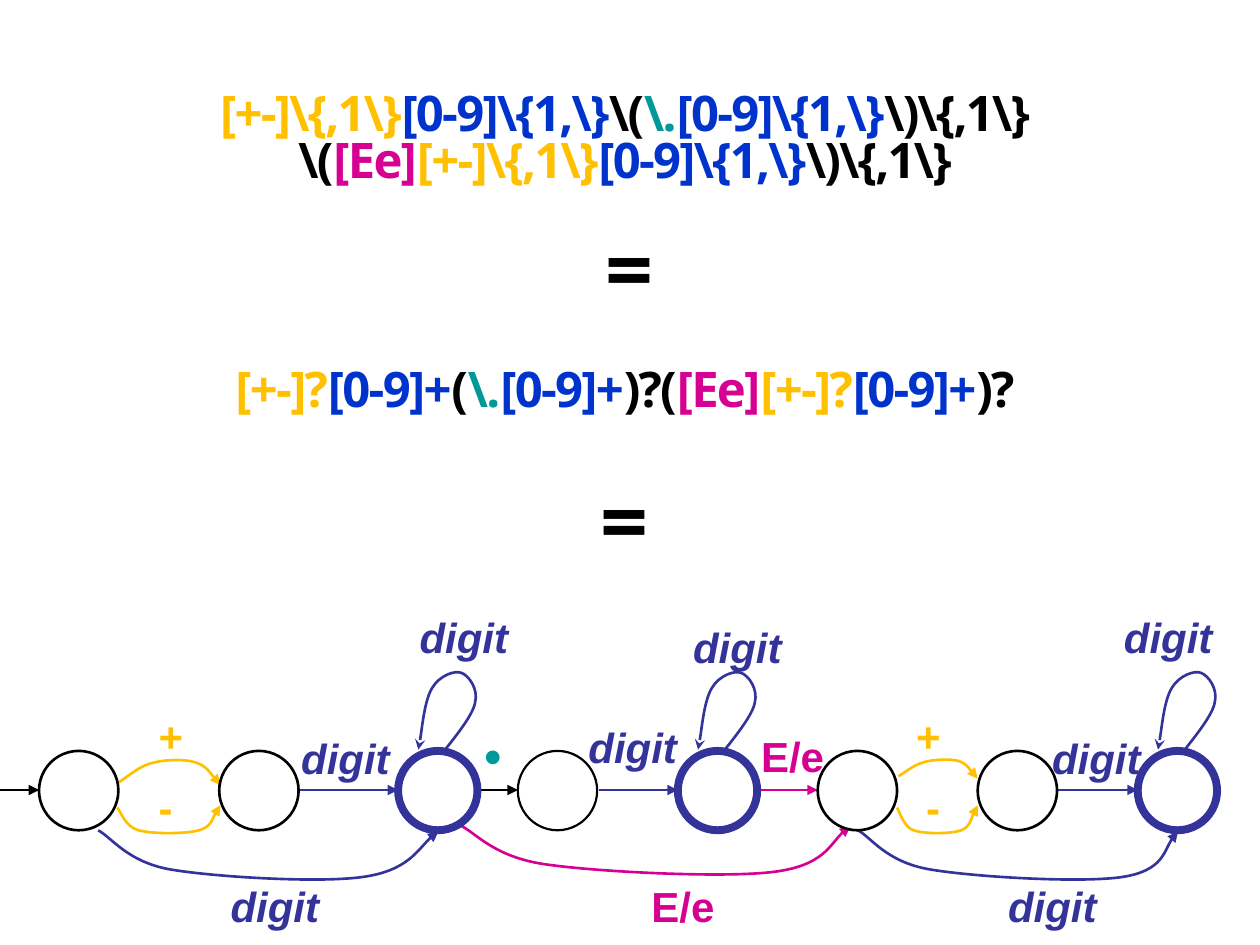
from lxml import etree
from pptx import Presentation
from pptx.dml.color import RGBColor
from pptx.enum.shapes import MSO_CONNECTOR, MSO_SHAPE
from pptx.enum.text import PP_ALIGN
from pptx.oxml.ns import qn
from pptx.util import Pt

PX = 9144  # 100 px to the inch
STRAIGHT = MSO_CONNECTOR.STRAIGHT
CIRCLE = MSO_SHAPE.FLOWCHART_CONNECTOR
CENTER = PP_ALIGN.CENTER

BLACK = RGBColor(0x00, 0x00, 0x00)
WHITE = RGBColor(0xFF, 0xFF, 0xFF)
AMBER = RGBColor(0xFF, 0xC0, 0x00)
BLUE = RGBColor(0x00, 0x33, 0xCC)
TEAL = RGBColor(0x00, 0x99, 0x99)
MAGENTA = RGBColor(0xD6, 0x00, 0x93)
INDIGO = RGBColor(0x33, 0x33, 0x99)

BASIC_REGEX = [
    (1.4, [(r"[+-]\{,1\}", AMBER), (r"[0-9]\{1,\}", BLUE), (r"\(", BLACK),
           (r"\.", TEAL), (r"[0-9]\{1,\}", BLUE), (r"\)\{,1\}", BLACK)]),
    (0.79, [(r"\(", BLACK), ("[Ee]", MAGENTA), (r"[+-]\{,1\}", AMBER),
            (r"[0-9]\{1,\}", BLUE), (r"\)\{,1\}", BLACK)]),
]
EXTENDED_REGEX = [
    (0.95, [("[+-]?", AMBER), ("[0-9]+", BLUE), ("(", BLACK), (r"\.", TEAL),
            ("[0-9]+", BLUE), (")?(", BLACK), ("[Ee]", MAGENTA),
            ("[+-]?", AMBER), ("[0-9]+", BLUE), (")?", BLACK)]),
]
EQUALS = [(0.79, [("=", BLACK)])]

# Automaton geometry, in px from the left edge and the top of its box
STATE = 63
STATE_TOP = 111
AXIS = 142
STATES = [(31, 1.5, BLACK), (174, 1.5, BLACK), (316, 4.5, INDIGO), (411, 1.25, BLACK),
          (538, 4.5, INDIGO), (649, 1.5, BLACK), (776, 1.5, BLACK), (903, 4.5, INDIGO)]
STEPS = [(-17, 31, 0.75, BLACK), (237, 316, 1.5, INDIGO), (380, 411, 1.5, BLACK),
         (475, 538, 1.5, INDIGO), (602, 649, 1.5, MAGENTA), (840, 903, 1.5, INDIGO)]
LOOP = [(0, 63), (2, 55), (5, 24), (11, 14), (17, 4), (29, 0), (34, 2),
        (40, 4), (48, 15), (45, 26), (43, 37), (25, 58), (19, 66)]
PLUS_ARC = [(0, 19), (4, 17), (15, 7), (25, 4), (35, 1), (51, 0), (61, 3),
            (70, 6), (77, 17), (81, 21)]
MINUS_ARC = [(0, 2), (3, 5), (6, 17), (17, 20), (28, 23), (54, 23), (65, 20),
             (75, 17), (78, 4), (82, 0)]
# left, top, colour, x of each curve point; all skips share their heights
SKIP_HEIGHTS = [0, 5, 25, 31, 37, 42, 37, 32, 8, 1]
SKIPS = [(78, 174, INDIGO, [0, 10, 23, 57, 92, 175, 210, 246, 258, 270]),
         (365, 170, MAGENTA, [0, 12, 26, 68, 109, 209, 249, 289, 297, 310]),
         (681, 174, INDIGO, [0, 10, 22, 57, 92, 177, 210, 242, 245, 254])]
LABELS = [("digit", INDIGO, [(239, 96), (333, 0), (183, 214), (892, 0), (550, 8),
                             (800, 214), (835, 96), (467, 88)]),
          ("E/e", MAGENTA, [(517, 214), (604, 95)]),
          ("+", AMBER, [(126, 79), (727, 79)]),
          ("-", AMBER, [(126, 135), (735, 135)])]


def add_text_box(slide, box):
    frame = slide.shapes.add_textbox(*(v * PX for v in box)).text_frame
    frame.word_wrap = True
    return frame


def style_font(run, name, size, color, italic=False):
    font = run.font
    font.name, font.size, font.bold, font.italic = name, Pt(size), True, italic
    font.color.rgb = color


def add_expression(slide, box, lines, size):
    """Centred lines of text, each made of coloured spans."""
    frame = add_text_box(slide, box)
    for i, (spacing, spans) in enumerate(lines):
        paragraph = frame.add_paragraph() if i else frame.paragraphs[0]
        paragraph.alignment = CENTER
        paragraph.line_spacing = spacing
        for text, color in spans:
            run = paragraph.add_run()
            run.text = text
            style_font(run, "Noto Sans", size, color)
            run.font._element.set("spc", "-100")


def style_arrow(arrow, width, color, end="tailEnd", tip="triangle"):
    arrow.line.width = Pt(width)
    arrow.line.color.rgb = color
    etree.SubElement(arrow.line._get_or_add_ln(), qn("a:" + end), type=tip)


def add_curve(slide, left, top, points, color, **arrowhead):
    """Open Bézier curve: a start, then two controls and an end per segment."""
    start, *rest = [(left + x, top + y) for x, y in points]
    builder = slide.shapes.build_freeform(*start, scale=PX)
    builder.add_line_segments(rest, close=False)
    curve = builder.convert_to_shape()
    outline = next(curve._element.iter(qn("a:path")))
    corners = outline.findall(qn("a:lnTo"))
    for i in range(0, len(corners), 3):
        segment = etree.SubElement(outline, qn("a:cubicBezTo"))
        for corner in corners[i:i + 3]:
            segment.append(corner[0])
            outline.remove(corner)
    curve.fill.background()
    curve.shadow.inherit = False
    style_arrow(curve, 1.5, color, **arrowhead)


def stretch(points, x_scale, y_scale):
    return [(round(x * x_scale), round(y * y_scale)) for x, y in points]


def add_automaton(slide, left, top):
    # Straight transitions
    for start, end, width, color in STEPS:
        y = (top + AXIS) * PX
        step = slide.shapes.add_connector(STRAIGHT, (left + start) * PX, y,
                                          (left + end) * PX, y)
        style_arrow(step, width, color)
        etree.SubElement(step._element.spPr, qn("a:effectLst"))

    # Sign branches; the second pair is narrower
    for x, y, arc, x_scale, y_scale in [(94, 117, PLUS_ARC, 1, 1),
                                        (93, 154, MINUS_ARC, 1, 1),
                                        (713, 117, PLUS_ARC, 0.78, 0.76),
                                        (712, 154, MINUS_ARC, 0.78, 1)]:
        add_curve(slide, left + x, top + y, stretch(arc, x_scale, y_scale), AMBER)

    # Transitions that skip states
    for x, y, color, xs in SKIPS:
        add_curve(slide, left + x, top + y, list(zip(xs, SKIP_HEIGHTS)), color)

    # States, with a loop on each accepting one
    for x, width, color in STATES:
        if color == INDIGO:
            add_curve(slide, left + x + 16, top + 47, LOOP, color,
                      end="headEnd", tip="stealth")
        state = slide.shapes.add_shape(CIRCLE, (left + x) * PX, (top + STATE_TOP) * PX,
                                       STATE * PX, STATE * PX)
        state.shadow.inherit = False
        state.fill.solid()
        state.fill.fore_color.rgb = WHITE
        state.line.width = Pt(width)
        state.line.color.rgb = color

    # Transition labels
    for text, color, places in LABELS:
        for x, y in places:
            frame = add_text_box(slide, (left + x, top + y, 79, 48))
            frame.margin_left = frame.margin_right = 0
            frame.margin_top = frame.margin_bottom = 0
            frame.text = text
            style_font(frame.paragraphs[0].runs[0], "Arial", 24, color, text == "digit")
    point = add_text_box(slide, (left + 373, top + 49, 127, 145))
    point.text = "."
    style_font(point.paragraphs[0].runs[0], "Times New Roman", 48, TEAL)


def main():
    prs = Presentation()
    prs.slide_width, prs.slide_height = 1000 * PX, 750 * PX
    slide = prs.slides.add_slide(prs.slide_layouts[6])
    add_expression(slide, (42, 42, 908, 160), BASIC_REGEX, 28)
    add_expression(slide, (50, 183, 900, 74), EQUALS, 48)
    add_expression(slide, (42, 283, 908, 58), EXTENDED_REGEX, 28)
    add_expression(slide, (42, 383, 908, 74), EQUALS, 48)
    add_automaton(slide, 0, 485)
    prs.save("out.pptx")


if __name__ == "__main__":
    main()
